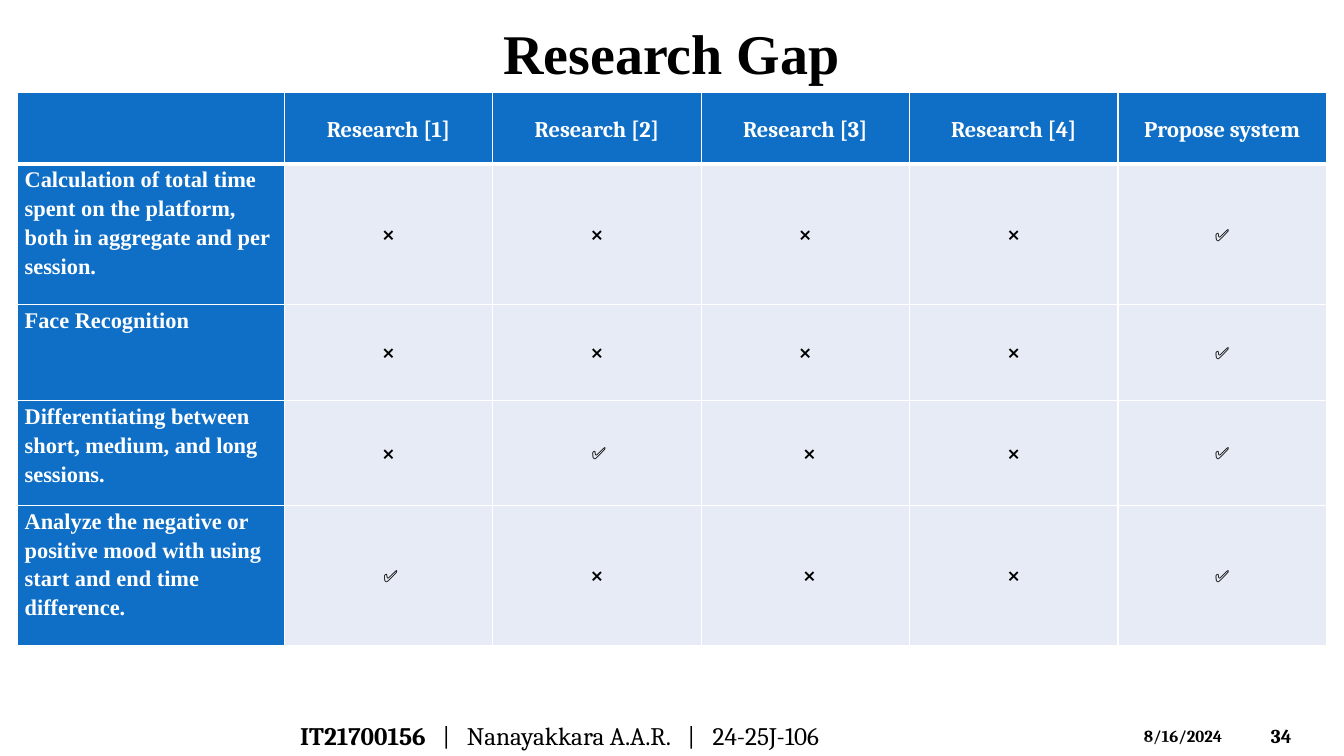
from lxml.etree import SubElement
from pptx import Presentation
from pptx.dml.color import RGBColor
from pptx.enum.shapes import MSO_SHAPE as Shape
from pptx.enum.text import MSO_ANCHOR as Anchor, PP_ALIGN as Align
from pptx.oxml import parse_xml
from pptx.oxml.ns import nsdecls, qn
from pptx.util import Pt

BLACK = RGBColor(0x00, 0x00, 0x00)
WHITE = RGBColor(0xFF, 0xFF, 0xFF)
BLUE = RGBColor(0x0F, 0x6F, 0xC6)
PALE = RGBColor(0xE7, 0xEB, 0xF5)
SERIF, BODY, MARK = "Times New Roman", "Cambria", "Karla"
NO, YES = "❌", "✅"

HEADS = ["Research [1]", "Research [2]", "Research [3]", "Research [4]",
         "Propose system"]
ROWS = [
    ("Calculation of total time spent on the platform, both in aggregate "
     "and per session.", [NO, NO, NO, NO, YES]),
    ("Face Recognition", [NO, NO, NO, NO, YES]),
    ("Differentiating between short, medium, and long sessions.",
     [NO, YES, NO, NO, YES]),
    ("Analyze the negative or positive mood with using start and end time "
     "difference.", [YES, NO, NO, NO, YES]),
]
HEIGHTS = [50.8, 100.5, 68.7, 74.7, 100.5]
WIDTHS = [190.8] + [148.9] * len(HEADS)
# Extra left margin of the marks that sit slightly right of centre
NUDGES = {(3, 2): 3, (3, 3): 6, (4, 1): 3, (4, 3): 6}


class Deck:
    def __init__(self):
        self.prs = Presentation()
        self.prs.slide_width, self.prs.slide_height = Pt(960), Pt(540)
        self.slide = self.prs.slides.add_slide(self.prs.slide_layouts[6])

    def style(self, run, size, font=BODY, color=BLACK, bold=True):
        run.font.size, run.font.name, run.font.bold = Pt(size), font, bold
        run.font.color.rgb = color

    def text(self, box, words, size, font=BODY, align=Align.LEFT,
             anchor=Anchor.MIDDLE):
        frame = self.slide.shapes.add_textbox(*map(Pt, box)).text_frame
        frame.word_wrap = True
        frame.vertical_anchor = anchor
        para = frame.paragraphs[0]
        para.text = words
        para.alignment = align
        self.style(para.runs[0], size, font)
        return para

    def veil(self, height, peak):
        """Add a faint white triangle along the foot of the slide."""
        shape = self.slide.shapes.add_shape(
            Shape.ISOSCELES_TRIANGLE, 0, Pt(540 - height), Pt(960), Pt(height))
        shape.adjustments[0] = peak
        shape.shadow.inherit = False
        shape.line.fill.background()
        shape.fill.solid()
        shape.fill.fore_color.rgb = WHITE
        color = shape.fill._xPr.find(qn("a:solidFill"))[0]
        SubElement(color, qn("a:alpha"), val="20000")

    def tabs(self, para, stops):
        tabs = SubElement(para._p.get_or_add_pPr(), qn("a:tabLst"))
        for stop in stops:
            SubElement(tabs, qn("a:tab"), pos=str(Pt(stop)), algn="l")

    def table(self, left, top, widths, heights):
        frame = self.slide.shapes.add_table(
            len(heights), len(widths), Pt(left), Pt(top),
            Pt(sum(widths)), Pt(sum(heights)))
        grid = frame.table
        grid.horz_banding = False
        for col, width in zip(grid.columns, widths):
            col.width = Pt(width)
        for row, height in zip(grid.rows, heights):
            row.height = Pt(height)
        return grid

    def cell(self, cell, words, fill, size, font, color, bold=True,
             align=Align.CENTER, anchor=Anchor.MIDDLE, nudge=0):
        cell.fill.solid()
        cell.fill.fore_color.rgb = fill
        cell.margin_left, cell.margin_right = Pt(5.4 + nudge), Pt(5.4)
        cell.margin_top = cell.margin_bottom = 0
        cell.vertical_anchor = anchor
        para = cell.text_frame.paragraphs[0]
        para.text = words
        para.alignment = align
        para.line_spacing, para.space_after = 1.16, Pt(8)
        for run in para.runs:
            self.style(run, size, font, color, bold)

    def border(self, cell, top=1, bottom=1):
        props = cell._tc.get_or_add_tcPr()
        sides = [("L", 1), ("R", 1), ("T", top), ("B", bottom)]
        for place, (side, width) in enumerate(sides):
            props.insert(place, parse_xml(
                f'<a:ln{side} {nsdecls("a")} w="{Pt(width)}"><a:solidFill>'
                f'<a:srgbClr val="{WHITE}"/></a:solidFill></a:ln{side}>'))


def main():
    deck = Deck()
    deck.text((900.72, 511.2, 53.28, 28.8), "34", 14)
    deck.text((810, 514.8, 84.24, 21.6), "8/16/2024", 12, anchor=Anchor.TOP)
    deck.veil(29.52, 0.63)
    deck.veil(14.4, 0.39)
    deck.text((19.5, 3, 920.16, 68.4), "Research Gap", 40, SERIF,
              Align.CENTER)

    foot = deck.text((207.36, 511.2, 536.4, 28.8), "IT21700156", 18)
    deck.tabs(foot, [101.5, 119, 276.5, 294.6])
    rest = foot.add_run()
    rest.text = "\t|\tNanayakkara A.A.R.\t|\t24-25J-106"
    deck.style(rest, 18, bold=False)

    grid = deck.table(12.24, 66.24, WIDTHS, HEIGHTS)
    for c, head in enumerate([""] + HEADS):
        deck.cell(grid.cell(0, c), head, BLUE, 16, BODY, WHITE)
        deck.border(grid.cell(0, c), bottom=3)
    for r, (label, marks) in enumerate(ROWS, 1):
        deck.cell(grid.cell(r, 0), label, BLUE, 16, SERIF, WHITE,
                  align=Align.LEFT, anchor=Anchor.TOP)
        for c, mark in enumerate(marks, 1):
            deck.cell(grid.cell(r, c), mark, PALE, 12,
                      MARK if mark == NO else BODY, BLACK, mark == NO,
                      nudge=NUDGES.get((r, c), 0))
        for c in range(len(WIDTHS)):
            deck.border(grid.cell(r, c), top=3 if r == 1 else 1)
    deck.prs.save("out.pptx")


if __name__ == "__main__":
    main()
